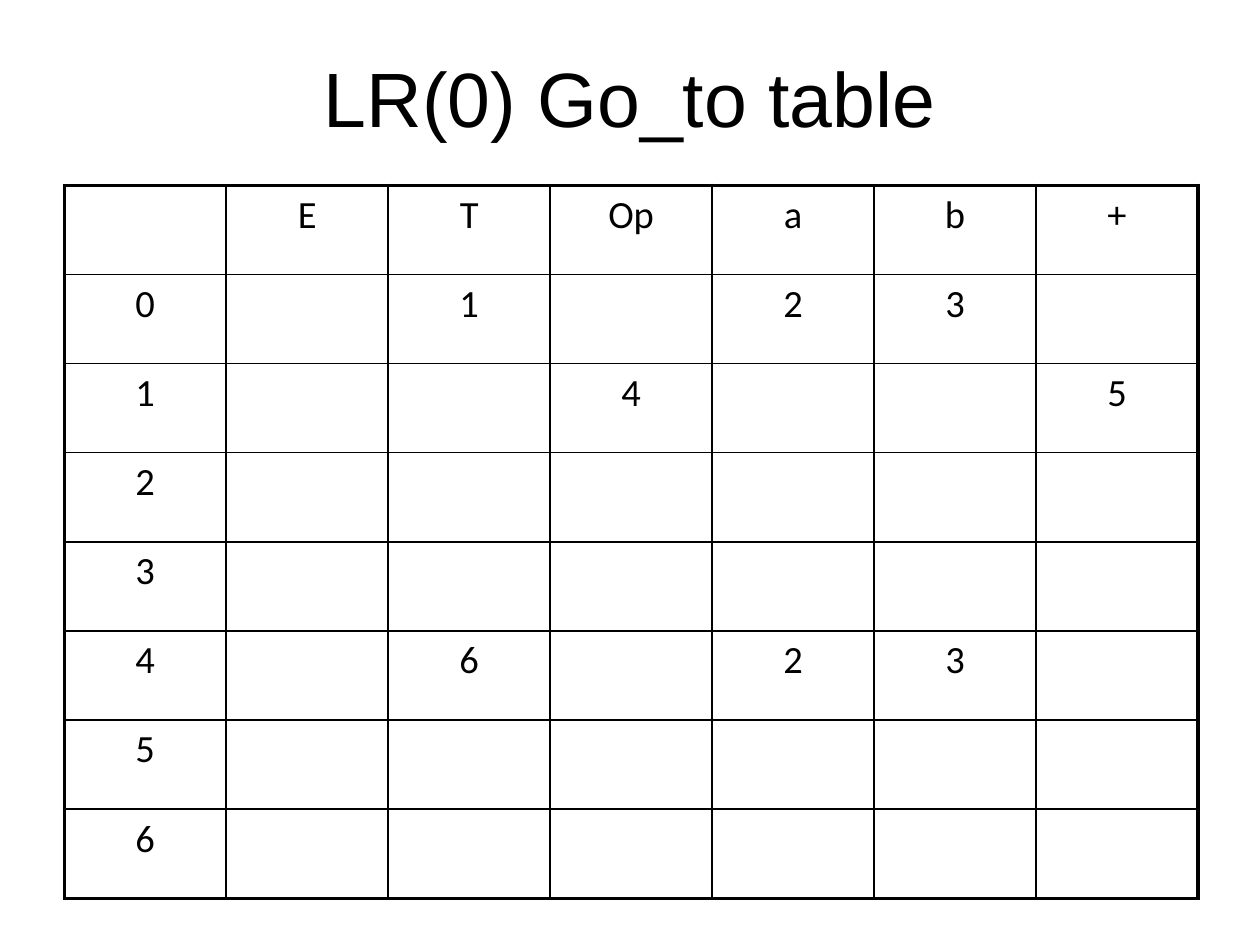
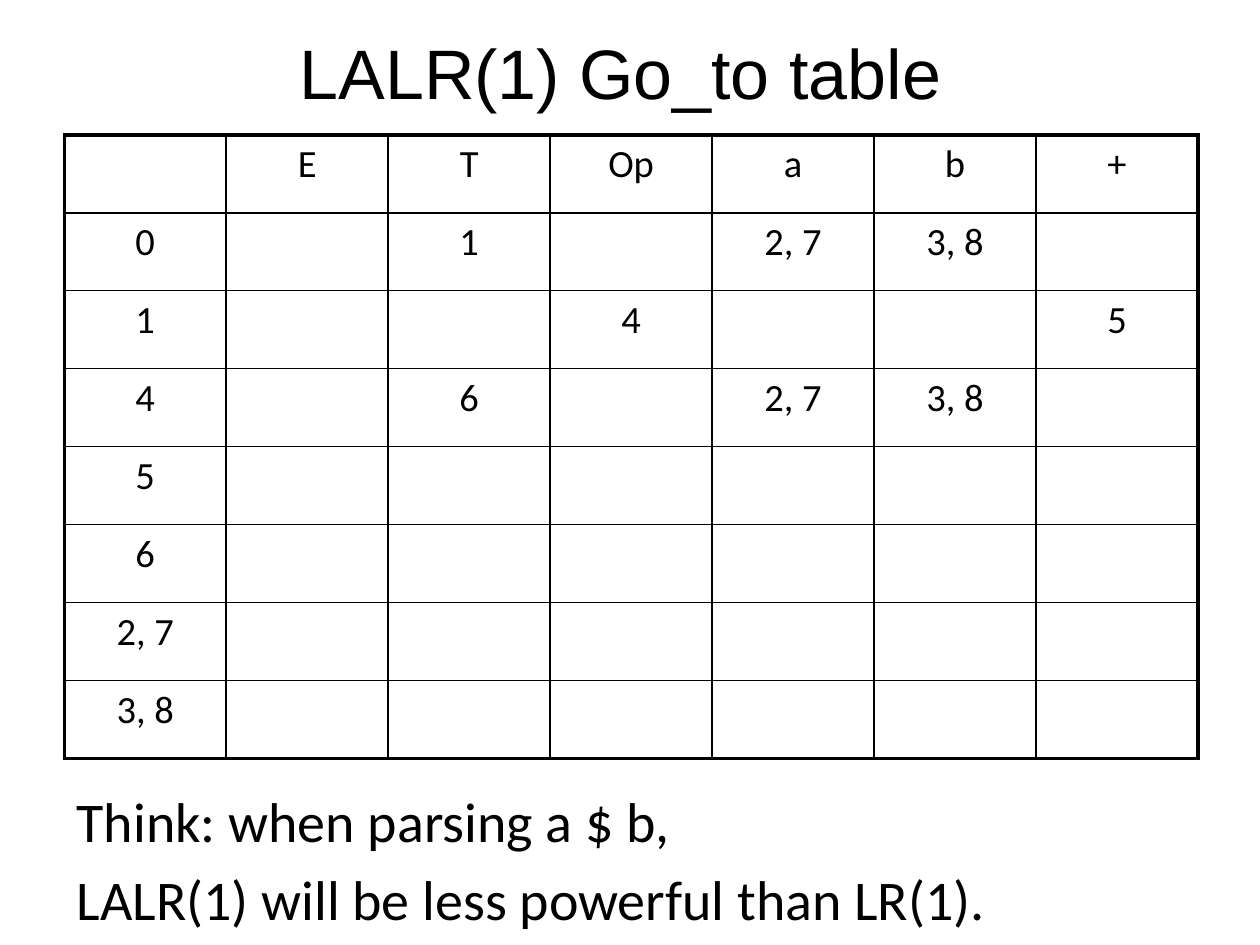
from lxml import etree
from pptx import Presentation
from pptx.dml.color import RGBColor
from pptx.enum.text import MSO_ANCHOR, PP_ALIGN
from pptx.oxml.ns import qn
from pptx.util import Inches, Pt

CENTER, LEFT = PP_ALIGN.CENTER, PP_ALIGN.LEFT
MIDDLE = MSO_ANCHOR.MIDDLE
INK, PAPER = "000000", "FFFFFF"
TITLE_FONT, BODY_FONT = "Arial", "Calibri"
TITLE_ONLY = 5
INNER_LINE, OUTER_LINE = 1, 2.25
SYMBOLS = ["", "E", "T", "Op", "a", "b", "+"]

LR_STATES = ["0", "1", "2", "3", "4", "5", "6"]
LR_MOVES = {
    "0": {"T": "1", "a": "2", "b": "3"},
    "1": {"Op": "4", "+": "5"},
    "4": {"T": "6", "a": "2", "b": "3"},
}
LALR_STATES = ["0", "1", "4", "5", "6", "2, 7", "3, 8"]
LALR_MOVES = {
    "0": {"T": "1", "a": "2, 7", "b": "3, 8"},
    "1": {"Op": "4", "+": "5"},
    "4": {"T": "6", "a": "2, 7", "b": "3, 8"},
}
REMARKS = ["Think: when parsing a $ b,", "LALR(1) will be less powerful than LR(1)."]


def color(hex_code):
    """Turn a hex string into a colour."""
    return RGBColor.from_string(hex_code)


def write(para, text, size, font=BODY_FONT, align=LEFT, before=0, hanging=0):
    """Fill a paragraph; before is a percentage of the line, hanging is in inches."""
    para.alignment = align
    properties = para._p.get_or_add_pPr()
    if hanging:
        properties.set("marL", str(Inches(hanging)))
        properties.set("indent", str(-Inches(hanging)))
    if before:
        spacing = etree.Element(qn("a:spcBef"))
        etree.SubElement(spacing, qn("a:spcPct"), val=str(before * 1000))
        properties.insert(0, spacing)
    span = para.add_run()
    span.text = text
    span.font.size = Pt(size)
    span.font.name = font
    span.font.color.rgb = color(INK)


def add_title(page, text, box, size):
    """Place and format the title placeholder."""
    title = page.shapes.title
    title.left, title.top, title.width, title.height = map(Inches, box)
    title.text_frame.vertical_anchor = MIDDLE
    title.text_frame.word_wrap = True
    write(title.text_frame.paragraphs[0], text, size, font=TITLE_FONT, align=CENTER)


def set_borders(cell, widths):
    """Draw the cell edges, given as a mapping from edge tag to points."""
    properties = cell._tc.get_or_add_tcPr()
    for edge, width in widths.items():
        line = etree.SubElement(properties, qn(f"a:{edge}"), w=str(Pt(width)))
        fill = etree.SubElement(line, qn("a:solidFill"))
        etree.SubElement(fill, qn("a:srgbClr"), val=INK)


def add_goto_table(page, states, moves, box):
    """Add a grid of states against symbols with a heavier outer frame."""
    rows = [SYMBOLS] + [
        [state] + [moves.get(state, {}).get(symbol, "") for symbol in SYMBOLS[1:]]
        for state in states
    ]
    last_row, last_column = len(rows) - 1, len(SYMBOLS) - 1
    table = page.shapes.add_table(len(rows), len(SYMBOLS), *map(Inches, box)).table
    table.first_row = table.horz_banding = False
    for row_number, row in enumerate(rows):
        for column_number, text in enumerate(row):
            cell = table.cell(row_number, column_number)
            outer_edges = {
                "lnL": column_number == 0,
                "lnR": column_number == last_column,
                "lnT": row_number == 0,
                "lnB": row_number == last_row,
            }
            set_borders(cell, {
                edge: OUTER_LINE if outer else INNER_LINE
                for edge, outer in outer_edges.items()
            })
            cell.fill.solid()
            cell.fill.fore_color.rgb = color(PAPER)
            if text:
                para = cell.text_frame.paragraphs[0]
                write(para, text, 22, align=CENTER, before=20)


def add_remarks(page, lines, box):
    """Add the closing remarks, one paragraph a line."""
    frame = page.shapes.add_textbox(*map(Inches, box)).text_frame
    frame.word_wrap = True
    for number, line in enumerate(lines):
        para = frame.add_paragraph() if number else frame.paragraphs[0]
        write(para, line, 32, before=20, hanging=0.38)


def add_goto_page(deck, title, title_height, title_size, states, moves, table_top, table_height):
    """Add a page with a title above a go-to table."""
    page = deck.slides.add_slide(deck.slide_layouts[TITLE_ONLY])
    add_title(page, title, (0.5, 0.3, 9, title_height), title_size)
    add_goto_table(page, states, moves, (0.51, table_top, 9, table_height))
    return page


def main():
    """Build the deck and save it."""
    deck = Presentation()
    deck.slide_width, deck.slide_height = Inches(10), Inches(7.5)
    add_goto_page(deck, "LR(0) Go_to table", 0.93, 44, LR_STATES, LR_MOVES, 1.47, 5.66)
    page = add_goto_page(
        deck, "LALR(1) Go_to table ", 0.54, 40, LALR_STATES, LALR_MOVES, 1.07, 4.95
    )
    add_remarks(page, REMARKS, (0.51, 6.19, 9, 1.13))
    deck.save("out.pptx")


if __name__ == "__main__":
    main()
